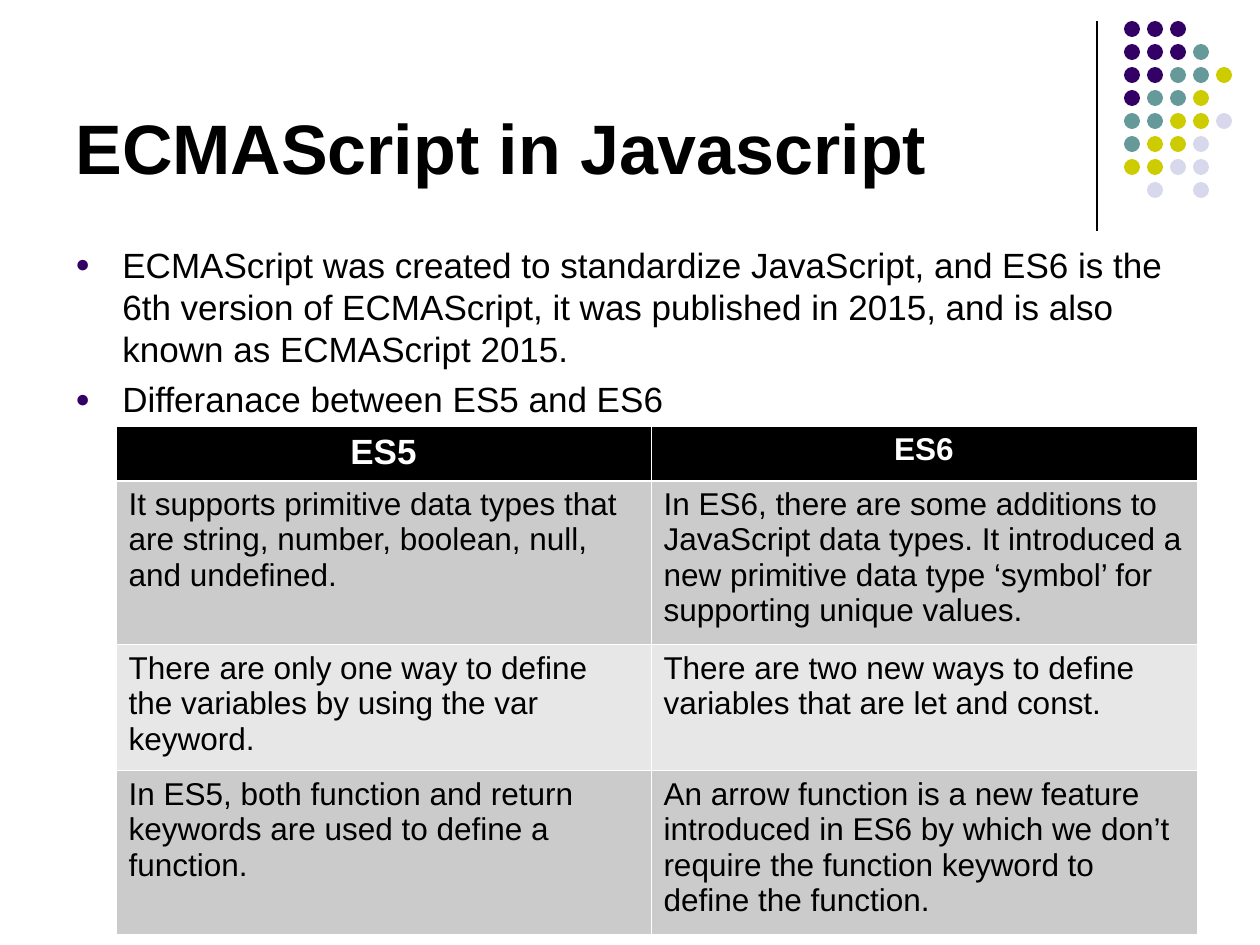
from dataclasses import dataclass

from lxml import etree
from pptx import Presentation
from pptx.dml.color import RGBColor
from pptx.enum.shapes import MSO_CONNECTOR, MSO_SHAPE
from pptx.enum.text import MSO_ANCHOR, PP_ALIGN
from pptx.oxml.ns import qn
from pptx.util import Pt

LINE = MSO_CONNECTOR.STRAIGHT
DOT = MSO_SHAPE.OVAL
TOP, BOTTOM = MSO_ANCHOR.TOP, MSO_ANCHOR.BOTTOM
LEFT, CENTER = PP_ALIGN.LEFT, PP_ALIGN.CENTER
SCALE = 914400 / 126


@dataclass(frozen=True)
class Theme:
    font: str = "Arial"
    ink: str = "000000"
    paper: str = "FFFFFF"
    purple: str = "330066"
    teal: str = "669999"
    lime: str = "CCCC00"
    mist: str = "D8D8EC"
    dark: str = "CBCBCB"
    light: str = "E7E7E7"
    title: int = 40
    body: int = 20
    cell: int = 18
    rule: float = 0.75
    thin: float = 0.45
    thick: float = 1.47


def px(n):
    return round(n * SCALE)


def rgb(code):
    return RGBColor.from_string(code)


def add(node, tag, **attrs):
    return etree.SubElement(node, qn(tag), {k: str(v) for k, v in attrs.items()})


class Page:
    def __init__(self, slide, theme):
        self.slide = slide
        self.theme = theme

    def run(self, para, text, size, color, bold=False):
        run = para.add_run()
        run.text = text
        font = run.font
        font.name, font.size, font.bold = self.theme.font, Pt(size), bold
        font.color.rgb = rgb(color)

    def line(self, x1, y1, x2, y2):
        line = self.slide.shapes.add_connector(LINE, px(x1), px(y1), px(x2), px(y2))
        line.line.color.rgb = rgb(self.theme.ink)
        line.line.width = Pt(self.theme.rule)
        add(line._element.spPr, "a:effectLst")

    def dots(self, x, y, size, step, rows, colors):
        group = self.slide.shapes.add_group_shape()
        for r, row in enumerate(rows):
            for c, key in enumerate(row):
                if key in colors:
                    dot = group.shapes.add_shape(
                        DOT, px(x + c * step), px(y + r * step), px(size), px(size))
                    dot.shadow.inherit = False
                    dot.fill.solid()
                    dot.fill.fore_color.rgb = rgb(colors[key])
                    dot.line.fill.background()

    def text(self, x, y, w, h, items, size, bold=False, anchor=TOP, bullet=False):
        box = self.slide.shapes.add_textbox(px(x), px(y), px(w), px(h))
        frame = box.text_frame
        frame.word_wrap = True
        frame.vertical_anchor = anchor
        for i, item in enumerate(items):
            para = frame.add_paragraph() if i else frame.paragraphs[0]
            if bullet:
                self.bullet(para)
            self.run(para, item, size, self.theme.ink, bold)

    def bullet(self, para):
        para.space_before = Pt(5)
        props = para._p.get_or_add_pPr()
        props.set("marL", str(px(47)))
        props.set("indent", str(px(-47)))
        add(add(props, "a:buClr"), "a:srgbClr", val=self.theme.purple)
        add(props, "a:buSzPct", val=70000)
        add(props, "a:buFont", typeface=self.theme.font)
        add(props, "a:buChar", char="●")

    def border(self, cell, widths):
        props = cell._tc.get_or_add_tcPr()
        for i, (side, width) in enumerate(widths.items()):
            edge = etree.Element(qn(f"a:ln{side}"), {"w": str(Pt(width))})
            fill = add(edge, "a:solidFill")
            add(fill, "a:srgbClr", val=self.theme.paper)
            props.insert(i, edge)

    def table(self, x, y, cols, rows, data, heads):
        t = self.theme
        grid = self.slide.shapes.add_table(
            len(rows), len(cols), px(x), px(y), px(sum(cols)), px(sum(rows))).table
        for col, width in zip(grid.columns, cols):
            col.width = px(width)
        for r, (height, words) in enumerate(zip(rows, data)):
            grid.rows[r].height = px(height)
            head = r == 0
            fill = t.ink if head else t.dark if r % 2 else t.light
            edges = {"L": t.thin, "R": t.thin,
                     "T": t.thick if r == 1 else t.thin,
                     "B": t.thick if head else t.thin}
            for c, word in enumerate(words):
                cell = grid.cell(r, c)
                cell.fill.solid()
                cell.fill.fore_color.rgb = rgb(fill)
                para = cell.text_frame.paragraphs[0]
                para.alignment = CENTER if head else LEFT
                self.run(para, word, heads[c] if head else t.cell,
                         t.paper if head else t.ink, head)
                self.border(cell, edges)


def main():
    deck = Presentation()
    deck.slide_width, deck.slide_height = px(1260), px(945)
    theme = Theme()
    page = Page(deck.slides.add_slide(deck.slide_layouts[6]), theme)

    page.line(1097, 21, 1097, 231)
    page.dots(
        1124, 21, 16, 23,
        ["PPP", "PPPT", "PPTTL", "PTTL", "TTLLM", "TLLM", "LLMM", " M M"],
        {"P": theme.purple, "T": theme.teal, "L": theme.lime, "M": theme.mist})
    page.text(63, 16, 1040, 179, ["ECMAScript in Javascript"],
              theme.title, bold=True, anchor=BOTTOM)
    page.text(63, 237, 1134, 607, [
        "ECMAScript was created to standardize JavaScript, and ES6 is the 6th "
        "version of ECMAScript, it was published in 2015, and is also known as "
        "ECMAScript 2015.",
        "Differanace between ES5 and ES6",
    ], theme.body, bullet=True)
    page.table(116, 426, [535, 546], [54, 164, 126, 164], [
        ["ES5", "ES6"],
        ["It supports primitive data types that are string, number, boolean, "
         "null, and undefined.\u00a0",
         "In ES6, there are some additions to JavaScript data types. It introduced "
         "a new primitive data type ‘symbol’ for supporting unique values."],
        ["There are only one way to define the variables by using the var keyword.",
         "There are two new ways to define variables that are let and const."],
        ["In ES5, both function and return keywords are used to define a function.",
         "An arrow function is a new feature introduced in ES6 by which we don’t "
         "require the function keyword to define the function."],
    ], [theme.body, theme.cell])
    deck.save("out.pptx")


if __name__ == "__main__":
    main()
